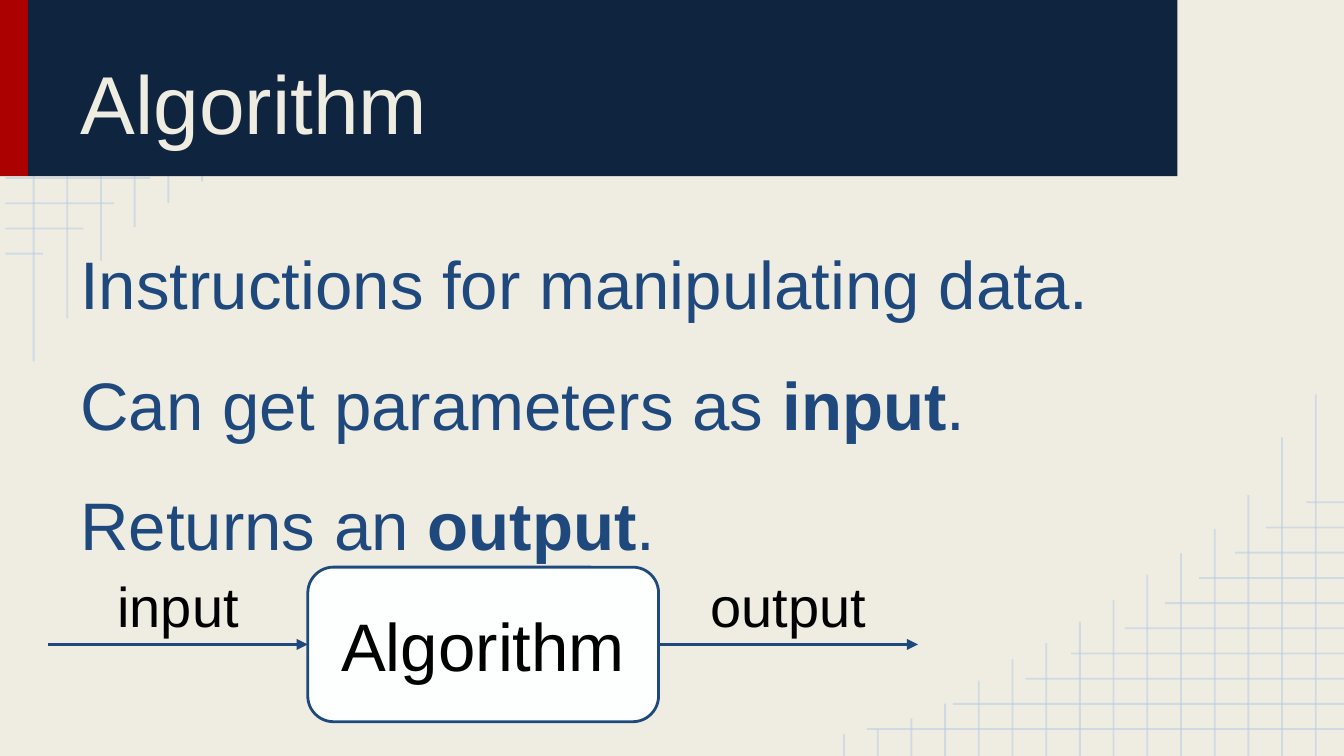
from lxml import etree
from pptx import Presentation
from pptx.dml.color import RGBColor
from pptx.enum.shapes import MSO_CONNECTOR, MSO_SHAPE
from pptx.enum.text import MSO_ANCHOR, PP_ALIGN
from pptx.oxml.ns import qn
from pptx.util import Inches, Pt

STRAIGHT = MSO_CONNECTOR.STRAIGHT
RECTANGLE, ROUNDED = MSO_SHAPE.RECTANGLE, MSO_SHAPE.ROUNDED_RECTANGLE
LEFT, CENTER = PP_ALIGN.LEFT, PP_ALIGN.CENTER
TOP, MIDDLE, BOTTOM = MSO_ANCHOR.TOP, MSO_ANCHOR.MIDDLE, MSO_ANCHOR.BOTTOM
SIDE_LEFT, SIDE_RIGHT = 1, 3

WIDTH = 10
HEIGHT = WIDTH * 9 / 16
COLORS = {
    "paper": "EFEDE2",
    "navy": "0F243E",
    "red": "AB0101",
    "blue": "1F497D",
    "grid": "B7CCE4",
    "white": "FDFFFF",
    "black": "000000",
}
ROW_ENDS = [3.59, 2.95, 2.41, 2.07, 1.67, 1.37, 1.12, 0.85, 0.62, 0.32]
COLUMN_ENDS = [2.69, 2.37, 1.94, 1.69, 1.51, 1.35, 1.16, 1.0,
               0.84, 0.72, 0.56, 0.39, 0.28, 0.2, 0.16]
STATEMENTS = [
    [("Instructions for manipulating data.", False)],
    [("Can get parameters as ", False), ("input", True), (".", False)],
    [("Returns an ", False), ("output", True), (".", False)],
]


def color(name):
    """Return the named colour."""
    return RGBColor.from_string(COLORS[name])


def add_line(page, start, end, color_name, width):
    """Draw a straight line without shadow."""
    points = [Inches(value) for value in (*start, *end)]
    line = page.shapes.add_connector(STRAIGHT, *points)
    line.line.color.rgb = color(color_name)
    line.line.width = Pt(width)
    etree.SubElement(line.element.spPr, qn("a:effectLst"))
    return line


def add_grid_line(page, start, end, mirrored):
    """Draw a translucent grid line, turned to the opposite corner if mirrored."""
    if mirrored:
        start, end = [(WIDTH + 0.04 - x, HEIGHT - y) for x, y in (start, end)]
    line = add_line(page, start, end, "grid", 1)
    tint = line.element.spPr.find(".//" + qn("a:srgbClr"))
    etree.SubElement(tint, qn("a:alpha"), val="54000")


def add_corner_grid(page, mirrored):
    """Draw the fading grid of one corner."""
    for index, end in enumerate(ROW_ENDS):
        y = 0.2 + 0.75 / 4 * index
        add_grid_line(page, (0.04, y), (end, y), mirrored)
    for index, end in enumerate(COLUMN_ENDS):
        x = 0.25 + 3.51 / 14 * index
        add_grid_line(page, (x, end), (x, 0), mirrored)


def add_arrow(page, start, end):
    """Draw a line with an arrowhead at its end."""
    arrow = add_line(page, start, end, "blue", 1.5)
    outline = arrow.element.spPr.find(qn("a:ln"))
    etree.SubElement(outline, qn("a:tailEnd"), type="triangle")
    return arrow


def add_block(page, preset, place, fill):
    """Add a filled shape without outline or shadow."""
    block = page.shapes.add_shape(preset, *[Inches(value) for value in place])
    block.shadow.inherit = False
    block.fill.solid()
    block.fill.fore_color.rgb = color(fill)
    block.line.fill.background()
    return block


def write(shape, paragraphs, size, color_name, align, anchor=TOP, spacing=1.0):
    """Fill a shape with paragraphs of (text, bold) spans."""
    frame = shape.text_frame
    frame.word_wrap = True
    frame.vertical_anchor = anchor
    frame.margin_left = frame.margin_right = Inches(0.1)
    frame.margin_top = frame.margin_bottom = Inches(0.1)
    for index, spans in enumerate(paragraphs):
        para = frame.add_paragraph() if index else frame.paragraphs[0]
        para.alignment = align
        para.line_spacing = spacing
        for text, bold in spans:
            span = para.add_run()
            span.text = text
            span.font.name = "Arial"
            span.font.size = Pt(size)
            span.font.bold = bold
            span.font.color.rgb = color(color_name)


def add_text(page, place, paragraphs, size, color_name, align, spacing=1.0):
    """Add a text box."""
    box = page.shapes.add_textbox(*[Inches(value) for value in place])
    write(box, paragraphs, size, color_name, align, spacing=spacing)


def add_title(page, text):
    """Place the title over the header band."""
    title = page.shapes.title
    title.left, title.top = Inches(0.5), Inches(0.11)
    title.width, title.height = Inches(8), Inches(1.11)
    write(title, [[(text, False)]], 44, "paper", LEFT, BOTTOM)
    page.shapes.element.append(title.element)


def add_flow(page):
    """Draw the algorithm box with its input and output arrows."""
    left, top, width, height = 2.29, 4.22, 2.61, 1.15
    right, middle, length = left + width, top + height / 2, 1.93
    box = add_block(page, ROUNDED, (left, top, width, height), "white")
    box.line.color.rgb = color("blue")
    box.line.width = Pt(1.5)
    write(box, [[("Algorithm", False)]], 36, "black", CENTER, MIDDLE)
    incoming = add_arrow(page, (left - length, middle), (left, middle))
    incoming.end_connect(box, SIDE_LEFT)
    outgoing = add_arrow(page, (right, middle), (right + length, middle))
    outgoing.begin_connect(box, SIDE_RIGHT)
    for text, start in (("input", left - length), ("output", right)):
        place = (start + 0.26, 4.15, 1.41, 0.65)
        add_text(page, place, [[(text, False)]], 30, "black", CENTER)


def main():
    """Build and save the deck."""
    deck = Presentation()
    deck.slide_width, deck.slide_height = Inches(WIDTH), Inches(HEIGHT)
    page = deck.slides.add_slide(deck.slide_layouts[5])
    page.background.fill.solid()
    page.background.fill.fore_color.rgb = color("paper")
    for mirrored in (False, True):
        add_corner_grid(page, mirrored)
    add_block(page, RECTANGLE, (0, -0.01, 0.21, 1.32), "red")
    add_block(page, RECTANGLE, (0.21, -0.01, 8.55, 1.32), "navy")
    add_title(page, "Algorithm")
    add_text(page, (0.5, 1.4, 9, 3.97), STATEMENTS, 36, "blue", LEFT, 1.5)
    add_flow(page)
    deck.save("out.pptx")


if __name__ == "__main__":
    main()
